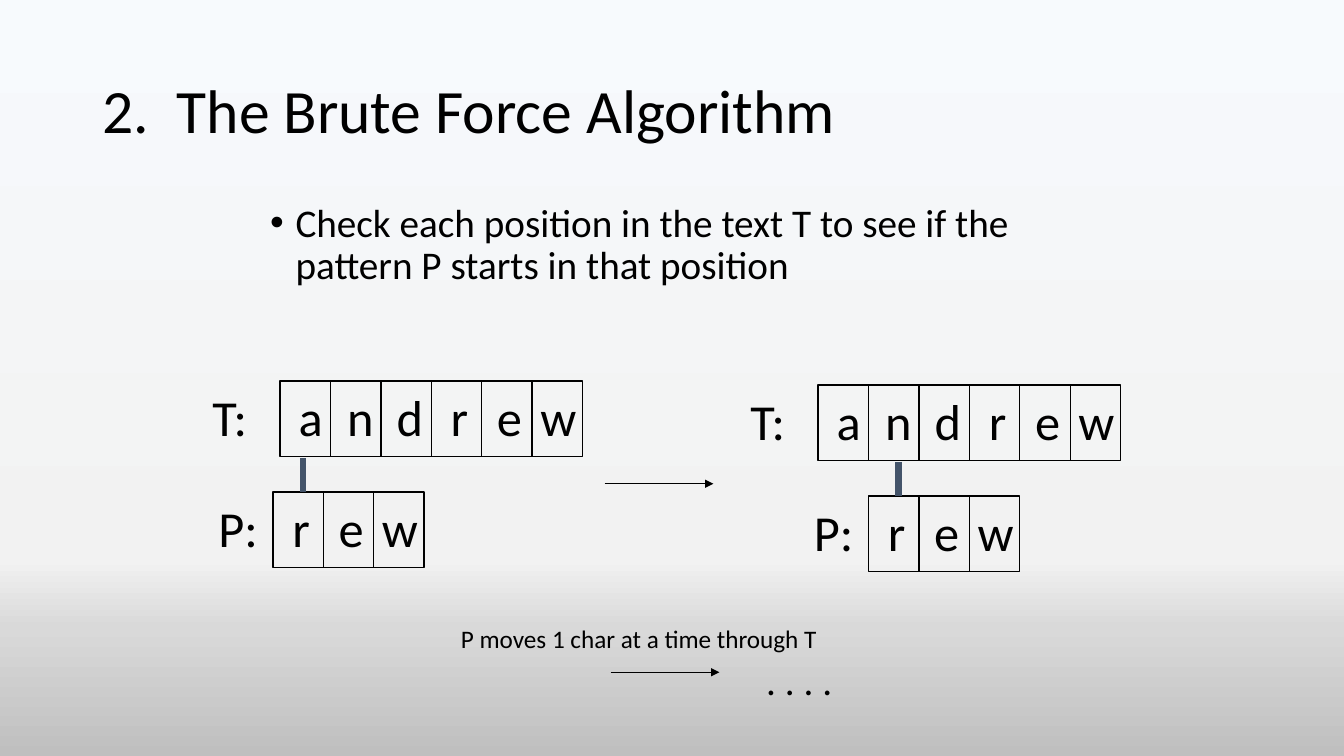
from lxml.etree import SubElement
from pptx import Presentation
from pptx.dml.color import RGBColor
from pptx.enum.shapes import MSO_CONNECTOR, MSO_SHAPE
from pptx.enum.text import MSO_ANCHOR, PP_ALIGN
from pptx.oxml.ns import qn
from pptx.util import Cm, Pt

FONT = "Calibri"
BLACK = "000000"
LINK_COLOUR = "44546A"
BACKGROUND_STOPS = [(0, "F7FAFD"), (74, "F2F2F2"), (83, "D9D9D9"), (100, "BFBFBF")]

# All lengths are in centimetres
CELL_WIDTH, CELL_HEIGHT = 1.27, 1.9
ROW_PITCH = 2.8
LETTER_HEIGHT = 1.8
LETTER_CENTRES = {"a": 0.77, "n": 0.75, "d": 0.73, "r": 0.71, "e": 0.7, "w": 0.66}


def colour(value):
    return RGBColor.from_string(value)


def add_text(slide, box, text, size, anchor=MSO_ANCHOR.MIDDLE,
             align=PP_ALIGN.CENTER, wrap=False):
    shape = slide.shapes.add_textbox(*(Cm(length) for length in box))
    frame = shape.text_frame
    frame.word_wrap = wrap
    frame.vertical_anchor = anchor
    paragraph = frame.paragraphs[0]
    paragraph.alignment = align
    run = paragraph.add_run()
    run.text = text
    run.font.name = FONT
    run.font.size = Pt(size)
    run.font.color.rgb = colour(BLACK)
    return paragraph


def add_line(slide, start, end, line_colour=BLACK, width=1, arrow=False):
    connector = slide.shapes.add_connector(
        MSO_CONNECTOR.STRAIGHT, *(Cm(length) for length in (*start, *end)))
    connector.line.color.rgb = colour(line_colour)
    connector.line.width = Pt(width)
    properties = connector.element.spPr
    if arrow:
        SubElement(properties.find(qn("a:ln")), qn("a:tailEnd"), type="triangle")
    SubElement(properties, qn("a:effectLst"))


def add_background(slide):
    fill = slide.background.fill
    fill.gradient()
    fill.gradient_angle = 270
    stops = slide.element.find(".//" + qn("a:gsLst"))
    for stop in list(stops):
        stops.remove(stop)
    for percent, value in BACKGROUND_STOPS:
        stop = SubElement(stops, qn("a:gs"), pos=str(percent * 1000))
        SubElement(stop, qn("a:srgbClr"), val=value)


def add_heading(slide, box):
    paragraph = add_text(slide, box, "2.\u00a0 The Brute Force Algorithm".replace("\u00a0", " "),
                         44, align=PP_ALIGN.LEFT, wrap=True)
    paragraph.line_spacing = 0.9


def add_bullet(slide, box, text):
    paragraph = add_text(slide, box, text, 28, MSO_ANCHOR.TOP, PP_ALIGN.LEFT, True)
    paragraph.line_spacing = 0.9
    properties = paragraph._p.get_or_add_pPr()
    indent = Cm(0.64)
    properties.set("marL", str(indent))
    properties.set("indent", str(-indent))
    SubElement(properties, qn("a:buFont"), typeface="Arial")
    SubElement(properties, qn("a:buChar"), char="•")


def add_word(slide, left, top, word, label, label_centre):
    # Frame and cell dividers
    frame = slide.shapes.add_shape(
        MSO_SHAPE.RECTANGLE, Cm(left), Cm(top),
        Cm(CELL_WIDTH * len(word)), Cm(CELL_HEIGHT))
    frame.shadow.inherit = False
    frame.fill.background()
    frame.line.color.rgb = colour(BLACK)
    frame.line.width = Pt(1)
    for index in range(1, len(word)):
        x = left + index * CELL_WIDTH
        add_line(slide, (x, top), (x, top + CELL_HEIGHT))

    # Label and letters, each centred on its own point
    centres = [(label, left + label_centre)]
    centres += [(letter, left + index * CELL_WIDTH + LETTER_CENTRES[letter])
                for index, letter in enumerate(word)]
    for text, centre in centres:
        width = 1.5
        add_text(slide, (centre - width / 2, top, width, LETTER_HEIGHT), text, 36)


def add_match(slide, left, top, pattern_shift):
    pattern_left, pattern_top = left + pattern_shift, top + ROW_PITCH
    add_word(slide, left, top, "andrew", "T:", -1.27)
    add_word(slide, pattern_left, pattern_top, "rew", "P:", -0.88)
    link_x = pattern_left + 0.75
    add_line(slide, (link_x, top + 1.95), (link_x, pattern_top), LINK_COLOUR, 4.5)


def add_step_arrow(slide, left, top):
    add_line(slide, (left, top), (left + 2.74, top), arrow=True)


def add_footer(slide, left, top):
    add_text(slide, (left, top, 9.6, 1.02), "P moves 1 char at a time through T", 18)
    add_step_arrow(slide, left + 4.09, top + 1.37)
    add_text(slide, (left + 7.62, top + 0.84, 2.44, 1.45), ". . . .", 28)


def main():
    presentation = Presentation()
    presentation.slide_width, presentation.slide_height = Cm(33.87), Cm(19.05)
    slide = presentation.slides.add_slide(presentation.slide_layouts[6])
    add_background(slide)
    add_heading(slide, (2.33, 1.01, 29.21, 3.68))
    add_bullet(slide, (6.56, 5, 21.59, 3.18),
               "Check each position in the text T to see if the "
               "pattern P starts in that position")
    # Pattern before and after moving by one cell
    add_match(slide, 7.06, 9.6, -0.18)
    add_step_arrow(slide, 15.24, 12.19)
    add_match(slide, 20.62, 9.7, CELL_WIDTH)
    add_footer(slide, 11.3, 15.57)
    presentation.save("out.pptx")


if __name__ == "__main__":
    main()
